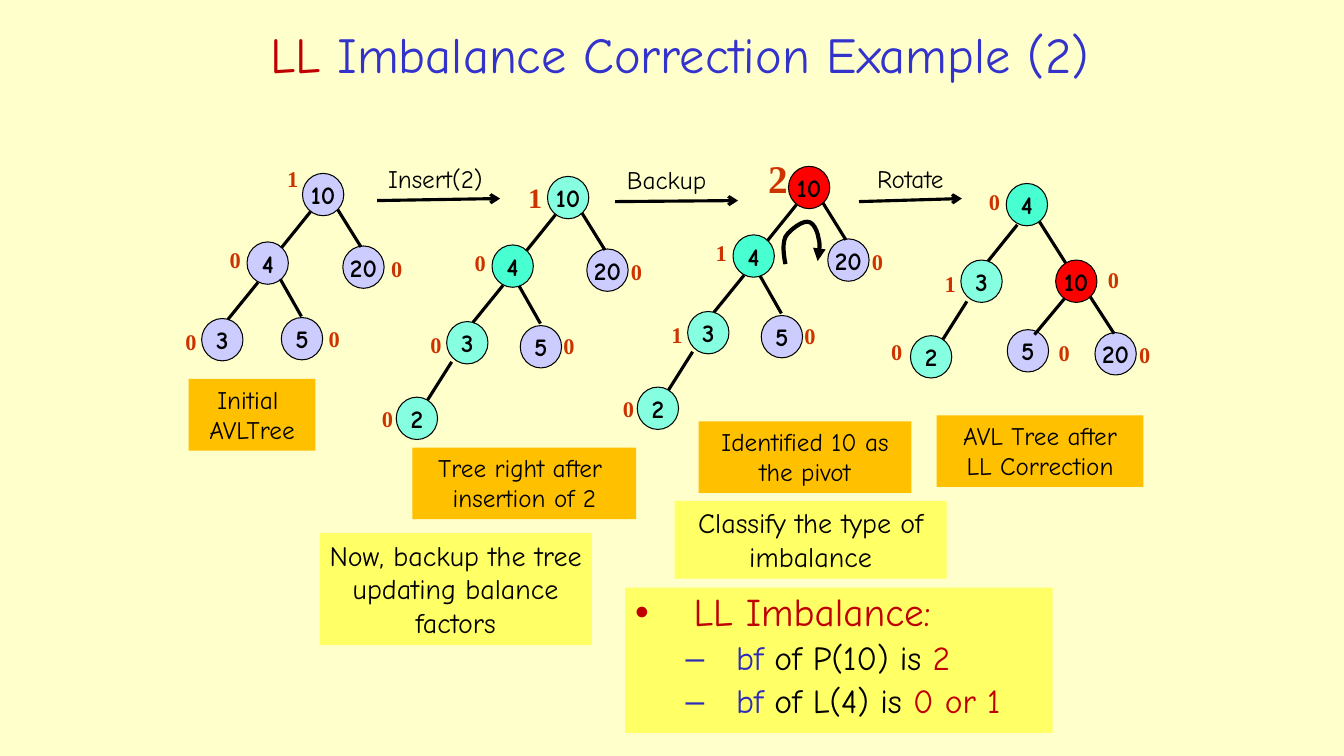
from dataclasses import dataclass

import pptx
import pptx.dml.color
import pptx.enum.shapes
import pptx.enum.text
import pptx.oxml.ns
import pptx.util
from lxml import etree

# The slide is a grid of one-inch columns and rows
COLUMNS, ROWS = 13.33, 7.5
NODE_WIDTH, NODE_HEIGHT = 0.41, 0.42
COMIC, TIMES = "Comic Neue", "Times New Roman"
BLACK, LILAC, RED, CRIMSON = "000000", "CCCCFF", "FF0000", "C00000"
AQUA, TURQUOISE, ORANGE, YELLOW = "85FFE0", "47FFD1", "FFC000", "FFFF66"
BLUE, RUST = "2D2DB9", "CC3300"
ALIGN = pptx.enum.text.PP_ALIGN
AUTO_SIZE = pptx.enum.text.MSO_AUTO_SIZE
MIDDLE = pptx.enum.text.MSO_ANCHOR.MIDDLE
SHAPES = pptx.enum.shapes.MSO_SHAPE


@dataclass
class Node:
    """A key at an offset from the root; edge ends are offsets from parent and node."""
    x: float
    y: float
    factor: tuple
    parent: str = ""
    leave: tuple = ()
    arrive: tuple = ()


# Tree layouts by key
UNBALANCED = {
    "10": Node(0, 0, (-0.29, -0.01)),
    "4": Node(-0.55, 0.68, (-0.27, -0.01), "10", (0.08, 0.38), (0.34, 0.06)),
    "20": Node(0.39, 0.72, (0.34, 0.04), "10", (0.34, 0.36), (0.18, 0.01)),
    "3": Node(-1, 1.44, (-0.26, 0.05), "4", (0.11, 0.4), (0.26, 0.01)),
    "5": Node(-0.27, 1.48, (0.33, 0.02), "4", (0.27, 0.41), (0.2, -0.02)),
    "2": Node(-1.5, 2.19, (-0.24, 0.03), "3", (0.05, 0.4), (0.31, 0.03)),
}
INITIAL = {key: UNBALANCED[key] for key in ("4", "3")} | {
    "10": Node(0, 0, (-0.25, -0.13)),
    "20": Node(0.4, 0.72, (0.38, 0.04), "10", (0.35, 0.36), (0.18, 0.01)),
    "5": Node(-0.21, 1.43, (0.37, 0.03), "4", (0.33, 0.37), (0.2, -0.01)),
}
PIVOTED = UNBALANCED | {"10": Node(0, 0, (-0.3, -0.17))}
CORRECTED = {
    "4": Node(0, 0, (-0.27, 0)),
    "3": Node(-0.45, 0.76, (-0.26, 0.05), "4", (0.11, 0.41), (0.27, 0.01)),
    "10": Node(0.49, 0.76, (0.42, 0.01), "4", (0.33, 0.38), (0.1, 0.03)),
    "2": Node(-0.95, 1.51, (-0.29, -0.02), "3", (0.06, 0.41), (0.32, 0.04)),
    "5": Node(0.01, 1.45, (0.41, 0.05), "10", (0.09, 0.38), (0.27, 0.05)),
    "20": Node(0.88, 1.48, (0.34, 0.04), "10", (0.34, 0.36), (0.19, 0.01)),
}


def color(value):
    return pptx.dml.color.RGBColor.from_string(value)


def cells(*lengths):
    return [pptx.util.Inches(length) for length in lengths]


def format_run(run, size, value, font=COMIC, bold=False):
    run.font.size = pptx.util.Pt(size)
    run.font.name = font
    run.font.bold = bold
    run.font.color.rgb = color(value)


def write(shape, text, size, value=BLACK, font=COMIC, bold=False,
          align=ALIGN.CENTER, wrap=False):
    frame = shape.text_frame
    frame.text = text
    frame.word_wrap = wrap
    for paragraph in frame.paragraphs:
        paragraph.alignment = align
        for run in paragraph.runs:
            format_run(run, size, value, font, bold)


def write_pieces(paragraph, pieces, size):
    for text, value in pieces:
        run = paragraph.add_run()
        run.text = text
        format_run(run, size, value)


def place(shape, left, top, width, height):
    shape.left, shape.top, shape.width, shape.height = cells(left, top, width, height)


def add_label(slide, left, top, width, height, text, size, **style):
    label = slide.shapes.add_textbox(*cells(left, top, width, height))
    write(label, text, size, align=ALIGN.LEFT, **style)


def add_box(slide, left, top, width, height, text, fill, size, wrap):
    box = slide.shapes.add_shape(SHAPES.RECTANGLE, *cells(left, top, width, height))
    box.shadow.inherit = False
    box.fill.solid()
    box.fill.fore_color.rgb = color(fill)
    box.line.fill.background()
    box.text_frame.vertical_anchor = pptx.enum.text.MSO_ANCHOR.TOP
    write(box, text, size, wrap=wrap)


def style_line(shape, width, head=None):
    shape.line.color.rgb = color(BLACK)
    shape.line.width = pptx.util.Pt(width)
    if head:
        etree.SubElement(shape.line._get_or_add_ln(),
                         pptx.oxml.ns.qn("a:tailEnd"), type=head)


def add_line(slide, start, end, head=None):
    line = slide.shapes.add_connector(
        pptx.enum.shapes.MSO_CONNECTOR.STRAIGHT, *cells(*start, *end))
    style_line(line, 2.25, head)
    etree.SubElement(line._element.spPr, pptx.oxml.ns.qn("a:effectLst"))


def add_step(slide, start, end, label_at, width, text):
    add_line(slide, start, end, "arrow")
    add_label(slide, *label_at, width, 0.4, text, 18)


def add_node(slide, left, top, key, fill):
    circle = slide.shapes.add_shape(
        SHAPES.OVAL, *cells(left, top, NODE_WIDTH, NODE_HEIGHT))
    circle.shadow.inherit = False
    circle.fill.solid()
    circle.fill.fore_color.rgb = color(fill)
    style_line(circle, 0.75)
    circle.text_frame.vertical_anchor = MIDDLE
    write(circle, key, 18, bold=True)


def add_tree(slide, left, top, layout, factors, fills, root_factor=(16, 0.31, 0.37)):
    """factors: balance factor by key; fills: colours of the keys that are not lilac."""
    for key, node in layout.items():
        x, y = left + node.x, top + node.y
        add_node(slide, x, y, key, fills.get(key, LILAC))
        if node.parent:
            parent = layout[node.parent]
            add_line(slide,
                     (left + parent.x + node.leave[0], top + parent.y + node.leave[1]),
                     (x + node.arrive[0], y + node.arrive[1]))
        size, width, height = (16, 0.31, 0.37) if node.parent else root_factor
        add_label(slide, x + node.factor[0], y + node.factor[1], width, height,
                  factors.get(key, "0"), size, value=RUST, font=TIMES, bold=True)


def add_rotation_arrow(slide, start, curves, steps=6):
    points, current = [], start
    for first, second, end in curves:
        for step in range(1, steps + 1):
            t = step / steps
            weights = ((1 - t) ** 3, 3 * t * (1 - t) ** 2, 3 * t * t * (1 - t), t ** 3)
            points.append(cells(*(sum(w * p[axis] for w, p in
                                      zip(weights, (current, first, second, end)))
                                  for axis in (0, 1))))
        current = end
    builder = slide.shapes.build_freeform(*cells(*start))
    builder.add_line_segments(points, close=False)
    arrow = builder.convert_to_shape()
    arrow.shadow.inherit = False
    arrow.fill.background()
    style_line(arrow, 3, "triangle")


def fill_title(title):
    place(title, 1.97, 0.15, 9.54, 0.76)
    title.text_frame.vertical_anchor = MIDDLE
    title.text_frame.auto_size = AUTO_SIZE.NONE
    paragraph = title.text_frame.paragraphs[0]
    paragraph.alignment = ALIGN.CENTER
    write_pieces(paragraph, [("LL", CRIMSON),
                             (" Imbalance Correction Example (2)", "3333CC")], 36)


def fill_list(body):
    place(body, 6.2, 5.83, 4.24, 1.44)
    body.fill.solid()
    body.fill.fore_color.rgb = color(YELLOW)
    frame = body.text_frame
    frame.auto_size = AUTO_SIZE.NONE
    items = [(0, 28, 0.58, 0.58, [("LL Imbalance:", CRIMSON)])]
    for subject, value in (("P(10)", "2"), ("L(4)", "0 or 1")):
        items.append((1, 24, 1, 0.5, [("bf", BLUE), (f" of {subject} is ", BLACK),
                                      (value, CRIMSON)]))
    for index, (level, size, margin, hanging, pieces) in enumerate(items):
        paragraph = frame.add_paragraph() if index else frame.paragraphs[0]
        paragraph.level = level
        paragraph.line_spacing = 0.9
        properties = paragraph._p.get_or_add_pPr()
        properties.set("marL", str(pptx.util.Inches(margin)))
        properties.set("indent", str(-pptx.util.Inches(hanging)))
        write_pieces(paragraph, pieces, size)


def main():
    presentation = pptx.Presentation()
    presentation.slide_width, presentation.slide_height = cells(COLUMNS, ROWS)
    slide = presentation.slides.add_slide(presentation.slide_layouts[1])
    slide.background.fill.solid()
    slide.background.fill.fore_color.rgb = color("FFFFCC")
    fill_title(slide.shapes.title)
    fill_list(slide.placeholders[1])

    # Four stages of the tree
    changed = {"10": AQUA, "4": TURQUOISE, "3": AQUA, "2": AQUA}
    pivot = changed | {"10": RED}
    add_tree(slide, 3, 1.72, INITIAL, {"10": "1"}, {})
    add_tree(slide, 5.43, 1.75, UNBALANCED, {"10": "1"}, changed, (20, 0.34, 0.44))
    add_tree(slide, 7.82, 1.65, PIVOTED, {"10": "2", "4": "1", "3": "1"}, pivot,
             (28, 0.4, 0.57))
    add_tree(slide, 9.98, 1.82, CORRECTED, {"3": "1"}, pivot)

    # Steps between the stages
    add_step(slide, (3.74, 1.99), (4.96, 1.97), (3.75, 1.57), 1.31, "Insert(2)")
    add_step(slide, (6.1, 2), (7.32, 1.99), (6.12, 1.58), 1.03, "Backup")
    add_step(slide, (8.52, 2), (9.54, 1.97), (8.6, 1.57), 1.02, "Rotate")
    add_rotation_arrow(slide, (7.79, 2.62), [
        ((7.77, 2.52), (7.76, 2.42), (7.79, 2.35)),
        ((7.83, 2.28), (7.96, 2.19), (8.01, 2.2)),
        ((8.07, 2.2), (8.11, 2.3), (8.12, 2.37)),
        ((8.14, 2.43), (8.12, 2.51), (8.11, 2.59))])

    # Captions and remarks
    for left, top, width, text in (
            (1.87, 3.76, 1.26, "Initial \nAVLTree"),
            (4.09, 4.44, 2.22, "Tree right after \ninsertion of 2"),
            (6.93, 4.18, 2.11, "Identified 10 as\nthe pivot"),
            (9.29, 4.12, 2.05, "AVL Tree after\nLL Correction")):
        add_box(slide, left, top, width, 0.71, text, ORANGE, 18, False)
    for left, top, height, text in (
            (6.69, 4.97, 0.77, "Classify the type of imbalance"),
            (3.17, 5.29, 1.11, "Now, backup the tree updating balance factors")):
        add_box(slide, left, top, 2.7, height, text, YELLOW, 20, True)
    presentation.save("out.pptx")


if __name__ == "__main__":
    main()
